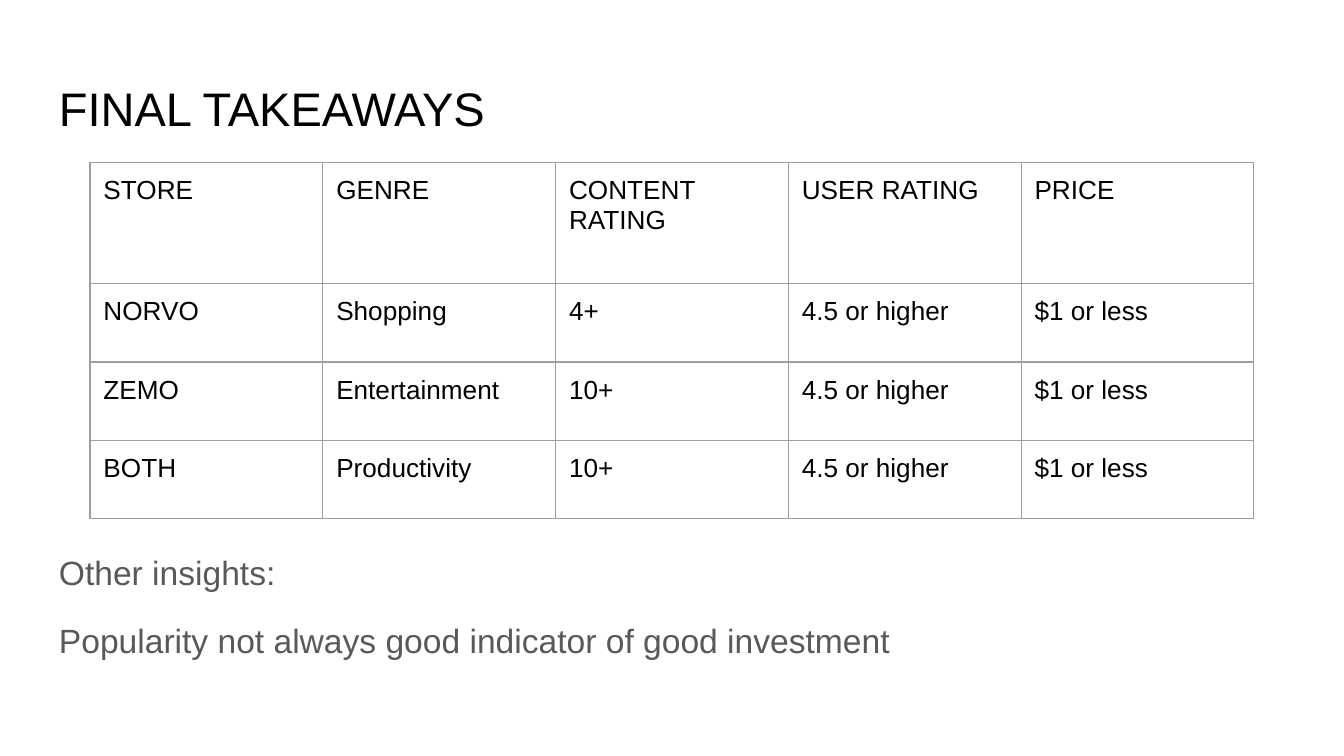
from lxml.etree import SubElement
from pptx import Presentation
from pptx.dml.color import RGBColor
from pptx.oxml.ns import qn
from pptx.util import Inches, Pt

BLACK = RGBColor(0x00, 0x00, 0x00)
GRAY = RGBColor(0x59, 0x59, 0x59)
RULE = RGBColor(0x9E, 0x9E, 0x9E)
WHITE = RGBColor(0xFF, 0xFF, 0xFF)
PAD = Inches(0.1)

ROWS = [
    ["STORE", "GENRE", "CONTENT RATING", "USER RATING", "PRICE"],
    ["NORVO", "Shopping", "4+", "4.5 or higher", "$1 or less"],
    ["ZEMO", "Entertainment", "10+", "4.5 or higher", "$1 or less"],
    ["BOTH", "Productivity", "10+", "4.5 or higher", "$1 or less"],
]


def write(frame, lines, size=14, color=BLACK, spacing=None, gap=0):
    """Fill a text frame with one paragraph per line."""
    frame.word_wrap = True
    for i, line in enumerate(lines):
        para = frame.paragraphs[0] if i == 0 else frame.add_paragraph()
        run = para.add_run()
        run.text = line
        run.font.name = "Arial"
        run.font.size = Pt(size)
        run.font.color.rgb = color
        if spacing:
            para.line_spacing = spacing
        if i:
            para.space_before = para.space_after = Pt(gap)


def pad(item):
    item.margin_left = item.margin_right = PAD
    item.margin_top = item.margin_bottom = PAD


def add_text(slide, box, lines, **style):
    frame = slide.shapes.add_textbox(*map(Inches, box)).text_frame
    pad(frame)
    write(frame, lines, **style)


def outline(cell):
    """Draw all four borders, ahead of the cell's fill."""
    props = cell._tc.get_or_add_tcPr()
    for i, side in enumerate(("lnL", "lnR", "lnT", "lnB")):
        line = SubElement(props, qn(f"a:{side}"), w=str(Pt(0.75)))
        fill = SubElement(line, qn("a:solidFill"))
        SubElement(fill, qn("a:srgbClr"), val=str(RULE))
        props.insert(i, line)


def add_grid(slide, box, rows, head):
    """Place a table with a tall first row and equal columns."""
    left, top, width, height = map(Inches, box)
    table = slide.shapes.add_table(
        len(rows), len(rows[0]), left, top, width, height).table
    table.first_row = table.horz_banding = False
    for col in table.columns:
        col.width = width // len(rows[0])
    for i, row in enumerate(table.rows):
        row.height = Inches(head) if i == 0 else (
            (height - Inches(head)) // (len(rows) - 1))
        for cell, text in zip(row.cells, rows[i]):
            pad(cell)
            cell.fill.solid()
            cell.fill.fore_color.rgb = WHITE
            outline(cell)
            write(cell.text_frame, [text])


def build():
    # Widescreen page, 16 to 9
    deck = Presentation()
    deck.slide_width = Inches(10)
    deck.slide_height = deck.slide_width * 9 // 16
    slide = deck.slides.add_slide(deck.slide_layouts[6])

    # Table of recommendations
    add_grid(slide, (0.67, 1.21, 8.66, 2.65), ROWS, head=0.9)
    # Title
    add_text(slide, (0.34, 0.49, 9.32, 0.63), ["FINAL TAKEAWAYS"], size=25.2)
    # Further insights
    add_text(slide, (0.34, 3.96, 9.32, 1.46),
             ["Other insights:",
              "Popularity not always good indicator of good investment"],
             size=18, color=GRAY, spacing=1.15, gap=12)
    deck.save("out.pptx")


if __name__ == "__main__":
    build()
